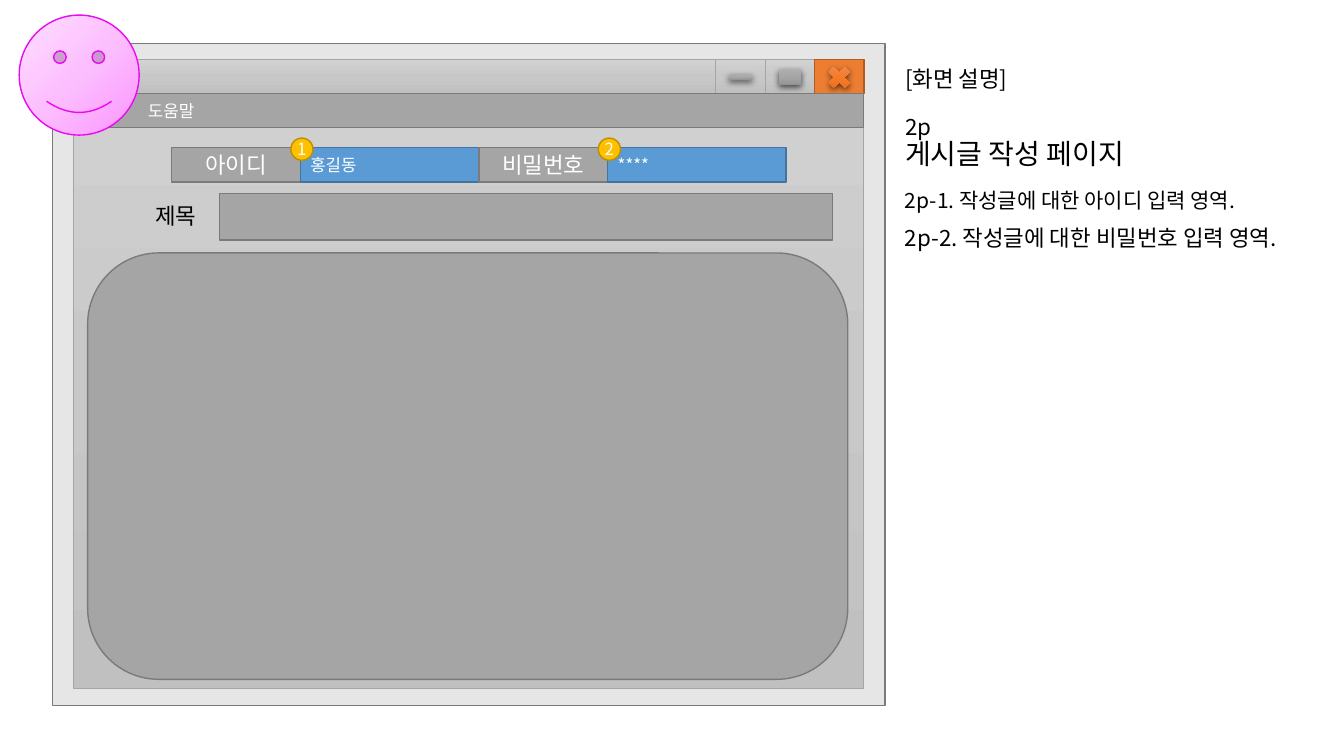
from lxml import etree
from pptx import Presentation
from pptx.dml.color import RGBColor
from pptx.enum.shapes import MSO_SHAPE
from pptx.enum.text import MSO_ANCHOR, MSO_AUTO_SIZE, PP_ALIGN
from pptx.oxml.ns import qn
from pptx.util import Inches, Pt

RECT, ROUND = MSO_SHAPE.RECTANGLE, MSO_SHAPE.ROUNDED_RECTANGLE
CROSS, SMILEY = MSO_SHAPE.MATH_MULTIPLY, MSO_SHAPE.SMILEY_FACE
BADGE = MSO_SHAPE.FLOWCHART_CONNECTOR
LEFT, CENTER = PP_ALIGN.LEFT, PP_ALIGN.CENTER
TOP, MIDDLE, BOTTOM = MSO_ANCHOR.TOP, MSO_ANCHOR.MIDDLE, MSO_ANCHOR.BOTTOM
NO_FIT = MSO_AUTO_SIZE.NONE

FONT = "Noto Sans CJK KR"
CELL = 0.1  # grid pitch in inches: 133.3 columns by 75 rows
COLORS = {
    "black": "000000", "white": "FFFFFF", "frame": "E7E6E6",
    "gray": "A5A5A5", "gray_line": "7A7A7A",
    "blue": "5B9BD5", "blue_line": "43739E",
    "orange": "ED7D31", "orange_line": "AF5C24",
    "gold": "FFC000", "gold_line": "BD8E00", "pink_line": "EA0AEF",
}
GRADIENTS = {  # three evenly spaced stops and a clockwise angle
    "silver": (("D2D2D2", "C8C8C8", "C0C0C0"), 90),
    "steel": (("AFAFAF", "A5A5A5", "939393"), 90),
    "flame": (("F18C57", "F67B28", "E56C19"), 90),
    "pink": (("FB95FF", "FCBEFF", "FEDFFF"), 225),
}

# Window grid
WINDOW_X, WINDOW_Y, WINDOW_W, WINDOW_H = 7.3, 5.9, 78.4, 62.4
BAR_H, BUTTON_W = 3.35, 4.9
BUTTONS_X = WINDOW_X + WINDOW_W - 3 * BUTTON_W
FIELDS_X, FIELDS_Y, FIELD_H = 17, 14.65, 3.4
LABEL_W, INPUT_W, BADGE_SIZE = 12.8, 17.7, 2.2


def grid(*cells):
    return [Inches(cell * CELL) for cell in cells]


def color(name):
    return RGBColor.from_string(COLORS[name])


def child(parent, tag, **attributes):
    node = etree.SubElement(parent, qn(tag))
    for key, value in attributes.items():
        node.set(key, str(value))
    return node


def fill_gradient(shape, name):
    stops, angle = GRADIENTS[name]
    shape.fill.gradient()
    gradient = shape.element.spPr.find(qn("a:gradFill"))
    for node in list(gradient):
        gradient.remove(node)
    stop_list = child(gradient, "a:gsLst")
    for index, value in enumerate(stops):
        stop = child(stop_list, "a:gs", pos=index * 50000)
        child(stop, "a:srgbClr", val=value)
    child(gradient, "a:lin", ang=angle * 60000, scaled=0)


def add_shadow(shape):
    effects = shape.element.spPr.find(qn("a:effectLst"))
    shadow = child(effects, "a:outerShdw", blurRad=Pt(4.5), dist=Pt(1.5),
                   dir=90 * 60000, algn="ctr", rotWithShape=0)
    child(child(shadow, "a:srgbClr", val=COLORS["black"]), "a:alpha", val=63000)


def write(para, text, size=16, ink="black", align=LEFT, spacing=None, before=None, tab=None):
    para.alignment = align
    para.line_spacing = spacing
    if before is not None:
        para.space_before = Pt(before)
    if tab:
        tabs = child(para._p.get_or_add_pPr(), "a:tabLst")
        child(tabs, "a:tab", pos=Inches(tab * CELL), algn="l")
    span = para.add_run()
    span.text = text
    span.font.size, span.font.name = Pt(size), FONT
    span.font.color.rgb = color(ink)
    child(span.font._element, "a:ea", typeface=FONT)


def set_frame(box, anchor=MIDDLE, wrap=True):
    frame = box.text_frame
    frame.word_wrap, frame.auto_size = wrap, NO_FIT
    frame.vertical_anchor = anchor
    return frame


def write_lines(box, anchor, lines):
    frame = set_frame(box, anchor)
    for index, (text, size, before) in enumerate(lines):
        para = frame.add_paragraph() if index else frame.paragraphs[0]
        write(para, text, size, spacing=0.9, before=before)


def add_box(page, kind, cells, fill, line=None, width=1, shadow=False):
    shape = page.shapes.add_shape(kind, *grid(*cells))
    shape.shadow.inherit = False
    if fill in GRADIENTS:
        fill_gradient(shape, fill)
    else:
        shape.fill.solid()
        shape.fill.fore_color.rgb = color(fill)
    if line:
        shape.line.color.rgb = color(line)
        shape.line.width = Pt(width)
    else:
        shape.line.fill.background()
    if shadow:
        add_shadow(shape)
    return shape


def add_label(box, text, **style):
    write(set_frame(box).paragraphs[0], text, **style)


def add_badge(page, number, center_x):
    cells = (center_x - BADGE_SIZE / 2, 13.7, BADGE_SIZE, BADGE_SIZE)
    badge = add_box(page, BADGE, cells, "gold", "gold_line")
    frame = set_frame(badge, wrap=False)
    frame.margin_left = frame.margin_right = frame.margin_top = frame.margin_bottom = 0
    write(frame.paragraphs[0], str(number), 12, "white", CENTER)


def add_description(page):
    title = page.shapes.title
    title.left, title.top, title.width, title.height = grid(88.8, 4.3, 39, 13.1)
    write_lines(title, BOTTOM, [("[화면 설명]", 16, 0), ("2p", 16, 17),
                                ("게시글 작성 페이지", 20, 0)])
    notes = page.shapes.add_textbox(*grid(88.8, 18.4, 39, 51.6))
    write_lines(notes, TOP, [("2p-1. 작성글에 대한 아이디 입력 영역.", 15, 0),
                             ("2p-2. 작성글에 대한 비밀번호 입력 영역.", 16, 10)])


def add_window(page):
    add_box(page, RECT, (5.2, 4.3, 82.6, 70 - 4.3), "frame", "gray_line")
    add_box(page, RECT, (WINDOW_X, WINDOW_Y, WINDOW_W, WINDOW_H), "silver", "gray", 0.5)
    # Title bar and its three buttons
    add_box(page, RECT, (WINDOW_X, WINDOW_Y, BUTTONS_X - WINDOW_X, BAR_H), "silver", "gray", 0.5)
    buttons = [("silver", "gray", 0.5, RECT, "steel", 2.3, 0.5),
               ("silver", "gray", 0.5, RECT, "steel", 2.2, 1.6),
               ("orange", "orange_line", 1, CROSS, "flame", 3.1, 3)]
    for index, (fill, line, width, kind, icon_fill, icon_w, icon_h) in enumerate(buttons):
        left = BUTTONS_X + index * BUTTON_W
        add_box(page, RECT, (left, WINDOW_Y, BUTTON_W, BAR_H), fill, line, width)
        icon = (left + (BUTTON_W - icon_w) / 2, WINDOW_Y + (BAR_H - icon_h) / 2 + 0.1,
                icon_w, icon_h)
        add_box(page, kind, icon, icon_fill, shadow=True)
    # Menu bar
    menu = add_box(page, RECT, (WINDOW_X, WINDOW_Y + BAR_H, WINDOW_W, 3.4), "gray", "gray_line")
    add_label(menu, "파일\t도움말", size=12, ink="white", tab=6.4)


def add_form(page):
    # Login fields, each with a numbered badge
    for index, (name, value) in enumerate([("아이디", "홍길동"), ("비밀번호", "****")]):
        left = FIELDS_X + index * (LABEL_W + INPUT_W)
        label = add_box(page, RECT, (left, FIELDS_Y, LABEL_W, FIELD_H), "gray", "gray_line")
        add_label(label, name, ink="white", align=CENTER)
        left += LABEL_W
        entry = add_box(page, RECT, (left, FIELDS_Y, INPUT_W, FIELD_H), "blue", "blue_line")
        add_label(entry, value, size=12, ink="white")
        add_badge(page, index + 1, left + 0.15)
    # Subject and message
    subject = page.shapes.add_textbox(*grid(13.2, 19.5, 8.5, 3.8))
    add_label(subject, "제목", align=CENTER)
    add_box(page, RECT, (21.8, 19.2, 60.8, 4.6), "gray", "gray_line")
    add_box(page, ROUND, (8.7, 25.1, 75.4, 42.3), "gray", "gray_line")


def main():
    deck = Presentation()
    deck.slide_width, deck.slide_height = grid(133.33, 75)
    page = deck.slides.add_slide(deck.slide_layouts[5])
    add_description(page)
    add_window(page)
    add_form(page)
    add_box(page, SMILEY, (1.9, 1.5, 11.9, 11.9), "pink", "pink_line")
    deck.save("out.pptx")


if __name__ == "__main__":
    main()
